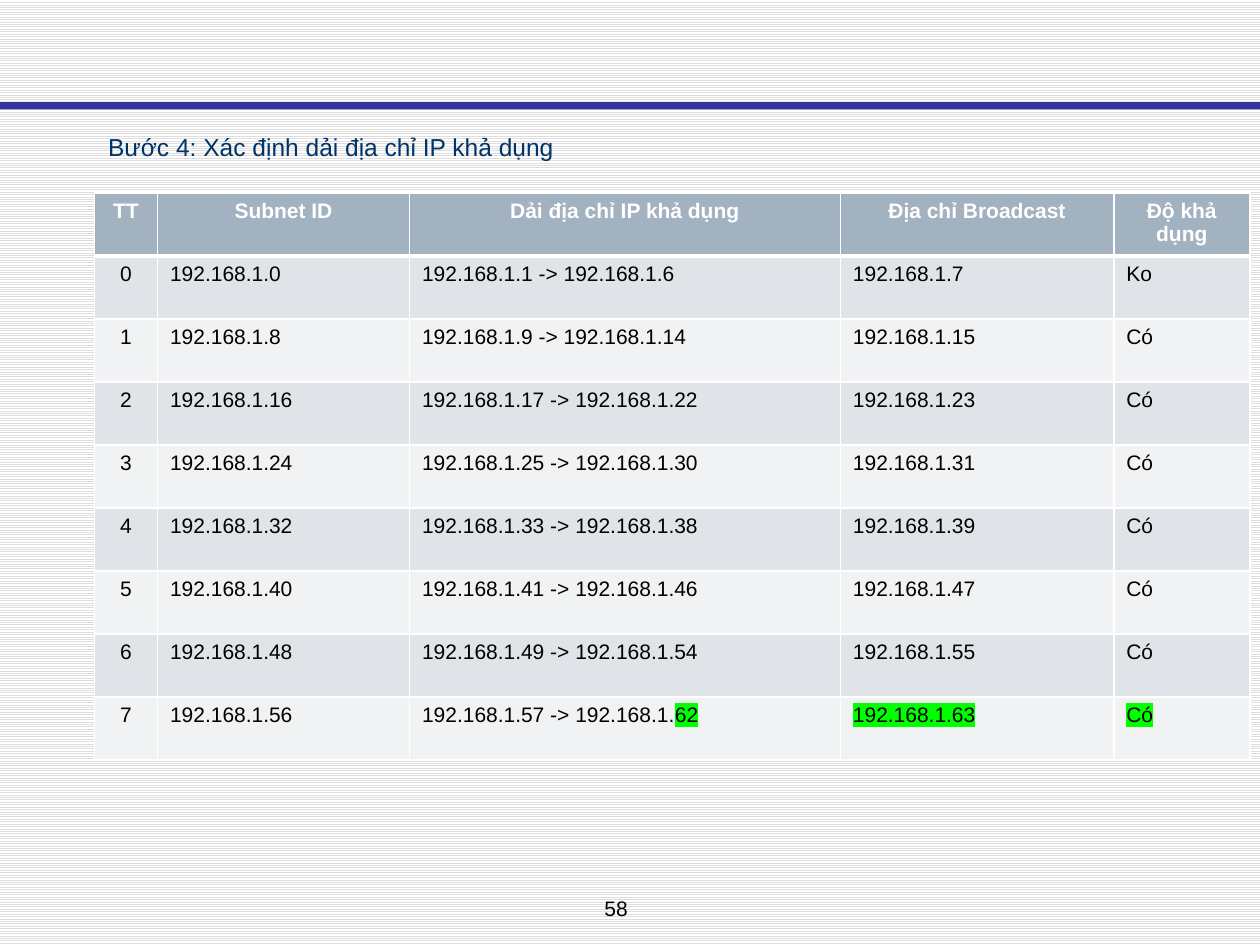
from lxml.etree import SubElement
from pptx import Presentation
from pptx.dml.color import RGBColor
from pptx.enum.dml import MSO_PATTERN
from pptx.enum.shapes import MSO_SHAPE
from pptx.enum.text import PP_ALIGN
from pptx.oxml import parse_xml
from pptx.oxml.ns import nsdecls, qn
from pptx.util import Inches, Pt

COLORS = {
    "paper": "FFFFFF", "stripe": "DDDDDD", "rule": "333399", "heading": "003366",
    "text": "000000", "white": "FFFFFF", "header": "A3B2C1",
    "odd": "E0E4E9", "even": "F0F2F4", "marker": "00FF00",
}
HEADERS = ["TT", "Subnet ID", "Dải địa chỉ IP khả dụng", "Địa chỉ Broadcast", "Độ khả dụng"]
COLUMN_WIDTHS = [0.5, 2, 3.42, 2.17, 1.08]
ROW_HEIGHT = 0.5
SUBNET_COUNT = 8
SUBNET_SIZE = 8
NETWORK = "192.168.1."


def color(name):
    """Return the named colour."""
    return RGBColor.from_string(COLORS[name])


def subnet_row(number):
    """Return the cells of one subnet as (plain, highlighted) pairs."""
    start = number * SUBNET_SIZE
    end = start + SUBNET_SIZE - 1
    hosts = f"{NETWORK}{start + 1} -> {NETWORK}"
    broadcast = f"{NETWORK}{end}"
    usable = "Có" if number else "Ko"
    cells = [(str(number), ""), (f"{NETWORK}{start}", "")]
    if number == SUBNET_COUNT - 1:
        return cells + [(hosts, str(end - 1)), ("", broadcast), ("", usable)]
    return cells + [(f"{hosts}{end - 1}", ""), (broadcast, ""), (usable, "")]


class SubnetSlide:
    """Holds the text style and the slide being built."""

    def __init__(self, slide, font="Arial"):
        self.slide = slide
        self.font = font

    def background(self):
        """Fill the background with thin horizontal stripes."""
        fill = self.slide.background.fill
        fill.patterned()
        fill.pattern = MSO_PATTERN.LIGHT_HORIZONTAL
        fill.fore_color.rgb = color("stripe")
        fill.back_color.rgb = color("paper")

    def bar(self, left, top, width, height, fill):
        """Draw a solid bar without outline."""
        bar = self.slide.shapes.add_shape(
            MSO_SHAPE.RECTANGLE, Inches(left), Inches(top), Inches(width), Inches(height))
        bar.shadow.inherit = False
        bar.fill.solid()
        bar.fill.fore_color.rgb = color(fill)
        bar.line.fill.background()

    def paragraph(self, frame, plain, marked="", size=12, ink="text", bold=False,
                  align=PP_ALIGN.LEFT, spacing=None):
        """Set one paragraph, with an optional highlighted ending."""
        paragraph = frame.paragraphs[0]
        paragraph.alignment = align
        if spacing:
            paragraph.line_spacing = spacing
        paragraph.font.name = self.font
        paragraph.font.size = Pt(size)
        paragraph.font.bold = bold
        paragraph.font.color.rgb = color(ink)
        if plain:
            paragraph.add_run().text = plain
        if marked:
            ending = paragraph.add_run()
            ending.text = marked
            highlight = SubElement(ending.font._element, qn("a:highlight"))
            SubElement(highlight, qn("a:srgbClr"), val=COLORS["marker"])

    def text(self, left, top, width, height, wording, **style):
        """Add a wrapping text box."""
        box = self.slide.shapes.add_textbox(
            Inches(left), Inches(top), Inches(width), Inches(height))
        box.text_frame.word_wrap = True
        self.paragraph(box.text_frame, wording, **style)

    def cell(self, cell, content, fill, top=1, bottom=1, **style):
        """Fill one table cell and draw its white borders."""
        cell.fill.solid()
        cell.fill.fore_color.rgb = color(fill)
        self.paragraph(cell.text_frame, *content, **style)
        properties = cell._tc.get_or_add_tcPr()
        widths = {"lnL": 1, "lnR": 1, "lnT": top, "lnB": bottom}
        for position, (side, width) in enumerate(widths.items()):
            properties.insert(position, parse_xml(
                f'<a:{side} {nsdecls("a")} w="{Pt(width)}"><a:solidFill>'
                f'<a:srgbClr val="{COLORS["white"]}"/></a:solidFill></a:{side}>'))

    def table(self, left, top, headers, rows):
        """Add the subnet table with a header and banded rows."""
        table = self.slide.shapes.add_table(
            len(rows) + 1, len(headers), Inches(left), Inches(top),
            Inches(sum(COLUMN_WIDTHS)), Inches(ROW_HEIGHT * (len(rows) + 1))).table
        for column, width in zip(table.columns, COLUMN_WIDTHS):
            column.width = Inches(width)
        for index, header in enumerate(headers):
            self.cell(table.cell(0, index), (header,), "header", bottom=3,
                      ink="white", bold=True, align=PP_ALIGN.CENTER)
        for number, row in enumerate(rows, start=1):
            for index, content in enumerate(row):
                self.cell(table.cell(number, index), content,
                          "odd" if number % 2 else "even",
                          top=3 if number == 1 else 1,
                          align=PP_ALIGN.LEFT if index else PP_ALIGN.CENTER)


def main():
    """Build the slide and save it."""
    deck = Presentation()
    deck.slide_width, deck.slide_height = Inches(10), Inches(7.5)
    page = SubnetSlide(deck.slides.add_slide(deck.slide_layouts[6]))
    page.background()
    page.bar(0, 0.81, 10, 0.06, "rule")
    page.text(4.08, 7.06, 1.62, 0.3, "58", align=PP_ALIGN.CENTER)
    page.text(0.76, 0.92, 8.85, 6.42, "Bước 4: Xác định dải địa chỉ IP khả dụng",
              size=14, ink="heading", spacing=1.35)
    page.table(0.75, 1.53, HEADERS, [subnet_row(n) for n in range(SUBNET_COUNT)])
    deck.save("out.pptx")


if __name__ == "__main__":
    main()
